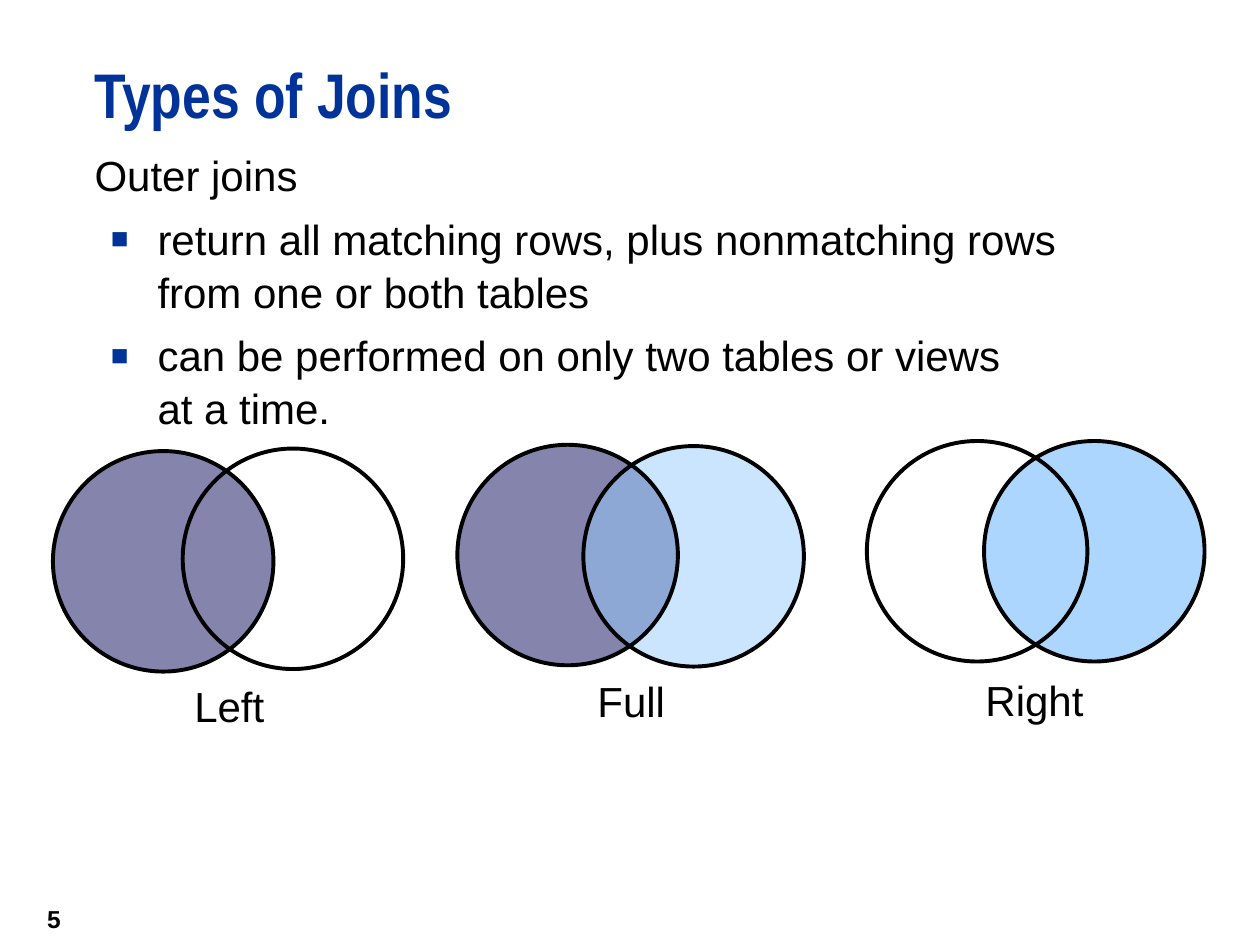
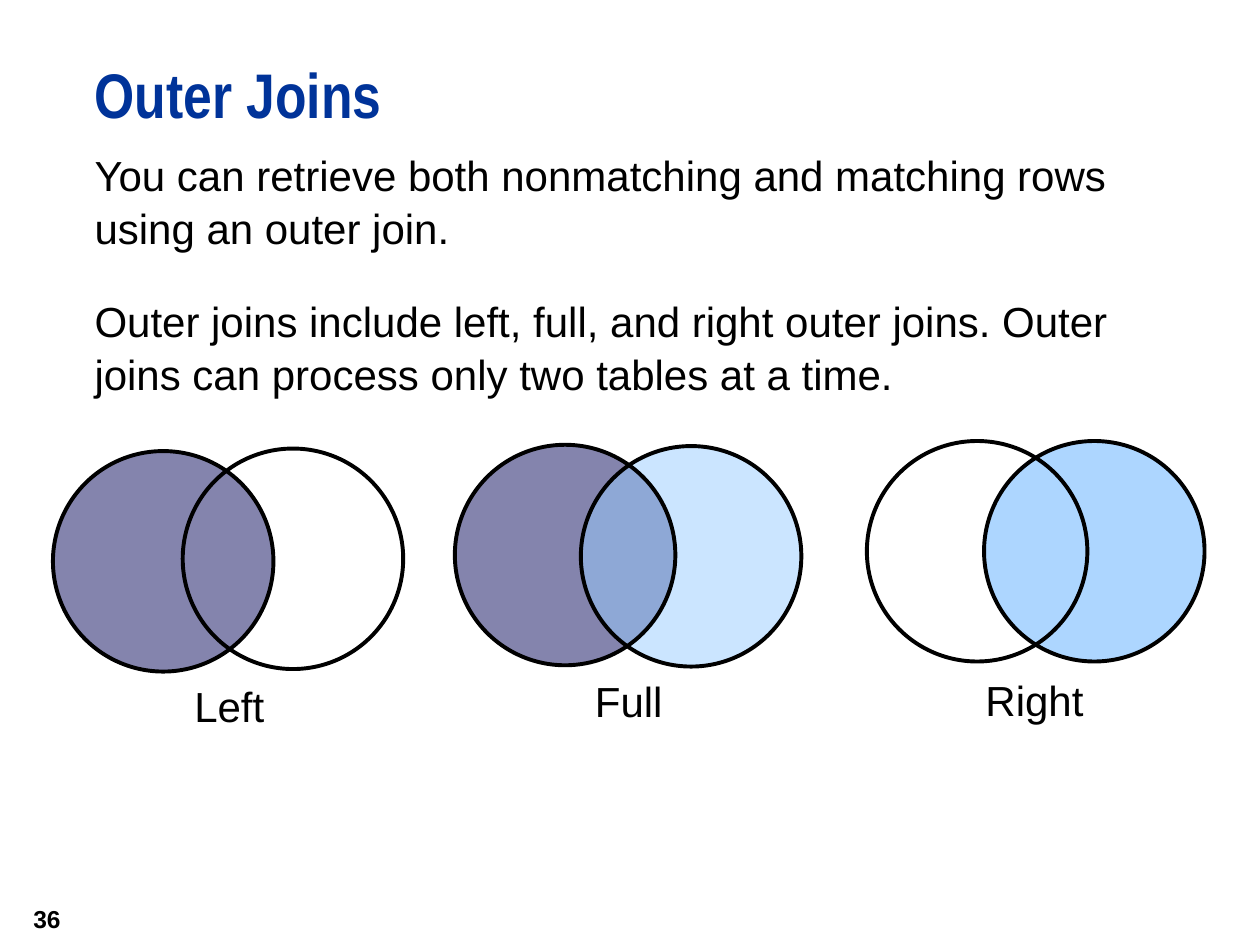
from lxml import etree
from pptx import Presentation
from pptx.dml.color import RGBColor
from pptx.enum import shapes, text
from pptx.oxml.ns import qn
from pptx.util import Inches, Pt

COLORS = {"title": "003399", "ink": "000000", "left": "666699", "right": "99CCFF"}
TITLE_BOX = (0.75, 0.5, 9.25, 0.75)
BODY_BOX = (0.75, 1.17, 8.58, 4.67)
NUMBER_BOX = (0, 7.08, 0.58, 0.42)
DIAMETER = 1.75
TITLE_FONT = {"name": "Arial Narrow", "size": Pt(36), "bold": True}
BODY_FONT = {"name": "Arial", "size": Pt(24), "bold": False}
NUMBER_FONT = {"name": "Arial", "size": Pt(14), "bold": True}

SLIDES = [
    {"title": "Types of Joins", "number": "5", "full_left": 3.63,
     "body": [("Outer joins", False, 0),
              ("return all matching rows, plus nonmatching rows \nfrom one or both tables", True, 6),
              ("can be performed on only two tables or views \nat a time.", True, 6)]},
    {"title": "Outer Joins", "number": "36", "full_left": 3.61,
     "body": [("You can retrieve both nonmatching and matching rows using an outer join.", False, 0),
              ("Outer joins include left, full, and right outer joins. "
               "Outer joins can process only two tables at a time.", False, 23)]},
]


def rgb(name):
    return RGBColor.from_string(COLORS[name])


def set_attrs(obj, values):
    for name, value in values.items():
        setattr(obj, name, value)


def place(sp, box):
    set_attrs(sp, dict(zip(("left", "top", "width", "height"), map(Inches, box))))


def format_frame(tf, wrap=True, anchor=text.MSO_ANCHOR.TOP, margins=(0, 0)):
    side, edge = map(Inches, margins)
    set_attrs(tf, {"word_wrap": wrap, "auto_size": text.MSO_AUTO_SIZE.NONE,
                   "vertical_anchor": anchor, "margin_left": side,
                   "margin_right": side, "margin_top": edge, "margin_bottom": edge})


def write(p, content, font, color="ink", **layout):
    p.text = content
    set_attrs(p, layout)
    for r in p.runs:
        set_attrs(r.font, font)
        r.font.color.rgb = rgb(color)


def set_bullet(p, bulleted):
    pPr = p._p.get_or_add_pPr()
    pPr.set("marL", str(Inches(0.5 if bulleted else 0)))
    pPr.set("indent", str(Inches(-0.37 if bulleted else 0)))
    if not bulleted:
        etree.SubElement(pPr, qn("a:buNone"))
        return
    color = etree.SubElement(pPr, qn("a:buClr"))
    etree.SubElement(color, qn("a:srgbClr"), val=COLORS["title"])
    etree.SubElement(pPr, qn("a:buSzPct"), val="70000")
    etree.SubElement(pPr, qn("a:buFont"), typeface="Arial")
    etree.SubElement(pPr, qn("a:buChar"), char="■")


def add_title(s, content, box):
    sp = s.shapes.title
    place(sp, box)
    format_frame(sp.text_frame)
    write(sp.text_frame.paragraphs[0], content, TITLE_FONT, "title",
          alignment=text.PP_ALIGN.LEFT, line_spacing=Pt(39))


def add_body(s, items, box):
    sp = s.placeholders[1]
    place(sp, box)
    tf = sp.text_frame
    format_frame(tf)
    for i, (content, bulleted, gap) in enumerate(items):
        p = tf.add_paragraph() if i else tf.paragraphs[0]
        p.level = int(bulleted)
        set_bullet(p, bulleted)
        write(p, content, BODY_FONT, alignment=text.PP_ALIGN.LEFT,
              space_before=Pt(gap), line_spacing=1.05)


def add_number(s, content, box):
    tf = s.shapes.add_textbox(*map(Inches, box)).text_frame
    format_frame(tf, False, text.MSO_ANCHOR.MIDDLE, (0.1, 0.05))
    write(tf.paragraphs[0], content, NUMBER_FONT, alignment=text.PP_ALIGN.RIGHT)


def add_circle(group, left, top, fill=None, alpha=100, outlined=True):
    sp = group.shapes.add_shape(shapes.MSO_SHAPE.OVAL,
                                *map(Inches, (left, top, DIAMETER, DIAMETER)))
    sp.shadow.inherit = False
    if fill:
        sp.fill.solid()
        sp.fill.fore_color.rgb = rgb(fill)
        color = sp.fill._xPr.find(".//" + qn("a:srgbClr"))
        etree.SubElement(color, qn("a:alpha"), val=str(alpha * 1000))
    else:
        sp.fill.background()
    if outlined:
        sp.line.color.rgb = rgb("ink")
        sp.line.width = Pt(2.25)
    else:
        sp.line.fill.background()


def add_venn(s, label, left, top, shift, right_top, label_box, left_alpha=0, right_alpha=0):
    group = s.shapes.add_group_shape()
    if left_alpha:
        add_circle(group, left, top, "left", left_alpha, outlined=False)
    add_circle(group, left + shift, right_top, "right" if right_alpha else None, right_alpha)
    dx, label_top, width = label_box
    tf = group.shapes.add_textbox(
        *map(Inches, (left + dx, label_top, width, 0.4))).text_frame
    format_frame(tf, wrap=False)
    write(tf.paragraphs[0], label, BODY_FONT,
          alignment=text.PP_ALIGN.CENTER, line_spacing=1.05)
    add_circle(group, left, top)


def add_join_slide(prs, title, number, full_left, body):
    s = prs.slides.add_slide(prs.slide_layouts[1])
    add_title(s, title, TITLE_BOX)
    add_body(s, body, BODY_BOX)
    add_number(s, number, NUMBER_BOX)
    add_venn(s, "Full", full_left, 3.53, 1, 3.54, (1.11, 5.34, 0.54), 80, 50)
    add_venn(s, "Right", 6.88, 3.5, 0.93, 3.5, (0.94, 5.33, 0.78), right_alpha=80)
    add_venn(s, "Left", 0.42, 3.58, 1.03, 3.56, (1.12, 5.38, 0.56), left_alpha=80)


def main():
    prs = Presentation()
    prs.slide_width, prs.slide_height = Inches(10), Inches(7.5)
    for content in SLIDES:
        add_join_slide(prs, **content)
    prs.save("out.pptx")


if __name__ == "__main__":
    main()
